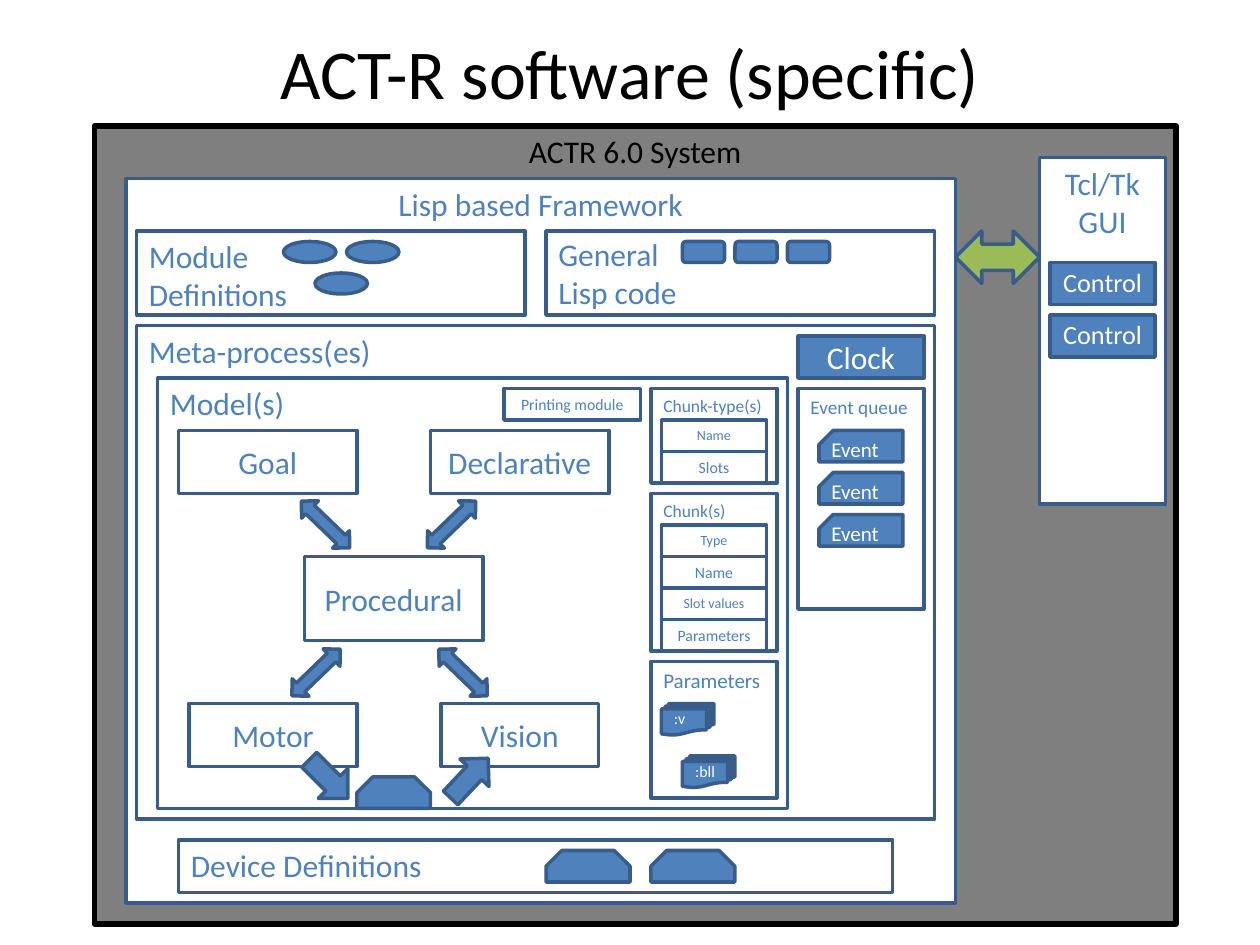
from pptx import Presentation
from pptx.dml.color import RGBColor
from pptx.enum.shapes import MSO_SHAPE
from pptx.enum.text import MSO_ANCHOR, PP_ALIGN
from pptx.util import Cm, Pt

RECT, OVAL, ROUNDED = MSO_SHAPE.RECTANGLE, MSO_SHAPE.OVAL, MSO_SHAPE.ROUNDED_RECTANGLE
TWO_WAY, DOWN = MSO_SHAPE.LEFT_RIGHT_ARROW, MSO_SHAPE.DOWN_ARROW
DOCUMENTS = MSO_SHAPE.FLOWCHART_MULTIDOCUMENT
TOP, MIDDLE = MSO_ANCHOR.TOP, MSO_ANCHOR.MIDDLE
LEFT, CENTER = PP_ALIGN.LEFT, PP_ALIGN.CENTER

COLORS = {
    "black": "000000", "white": "FFFFFF", "gray": "7F7F7F",
    "blue": "4F81BD", "outline": "385D8A", "green": "9BBB59",
}
TITLE_ONLY = 5


def grid(twelfths):
    """Length of a number of grid steps, twelve to the inch."""
    return Cm(twelfths * 2.54 / 12)


class Diagram:
    font = "Calibri"
    line_width = 2

    def __init__(self, slide):
        self.slide = slide

    def color(self, name):
        return RGBColor.from_string(COLORS[name])

    def paint(self, shape, fill, line="outline", width=line_width):
        shape.shadow.inherit = False
        if fill:
            shape.fill.solid()
            shape.fill.fore_color.rgb = self.color(fill)
        else:
            shape.fill.background()
        shape.line.color.rgb = self.color(line)
        shape.line.width = Pt(width)
        return shape

    def label(self, shape, lines, size, color="blue", align=LEFT, anchor=TOP,
              inset_top=0.13, wrap=True, spacing=None):
        frame = shape.text_frame
        frame.word_wrap = wrap
        frame.vertical_anchor = anchor
        frame.margin_left = frame.margin_right = Cm(0.25)
        frame.margin_top, frame.margin_bottom = Cm(inset_top), Cm(0.13)
        frame.text = lines
        for paragraph in frame.paragraphs:
            paragraph.alignment = align
            if spacing:
                paragraph.line_spacing = spacing
            paragraph.font.name = self.font
            paragraph.font.size = Pt(size)
            paragraph.font.color.rgb = self.color(color)

    def title(self, text, x, y, w, h):
        title = self.slide.shapes.title
        title.left, title.top, title.width, title.height = map(grid, (x, y, w, h))
        self.label(title, text, 40, "black", CENTER, MIDDLE)

    def shape(self, kind, x, y, w, h, fill="blue", rotation=0):
        shape = self.slide.shapes.add_shape(kind, *map(grid, (x, y, w, h)))
        shape.rotation = rotation
        return self.paint(shape, fill)

    def box(self, text, x, y, w, h, size=18, fill=None, **style):
        box = self.shape(RECT, x, y, w, h, fill)
        self.label(box, text, size, **style)
        return box

    def outline(self, points):
        start, *rest = [(grid(x), grid(y)) for x, y in points]
        builder = self.slide.shapes.build_freeform(*start)
        builder.add_line_segments(rest, close=True)
        return self.paint(builder.convert_to_shape(), "blue")

    def device(self, x, y, w, h=3, cut=1.5):
        self.outline([(x + cut, y), (x + w - cut, y), (x + w, y + cut),
                      (x + w, y + h), (x, y + h), (x, y + cut)])

    def event(self, x, y, w=8, h=3, cut=1.35):
        card = self.outline([(x + w, y), (x + cut, y), (x, y + cut),
                             (x, y + h), (x + w, y + h)])
        self.label(card, "Event", 12, "white", wrap=False)


def build(diagram):
    diagram.title("ACT-R software (specific)", 6, 3.6, 108, 6.4)

    # System, framework and GUI
    system = diagram.box("ACTR 6.0 System", 9, 12, 103, 76, fill="gray",
                         color="black", align=CENTER)
    diagram.paint(system, "gray", "black", 3.25)
    diagram.box("Lisp based Framework", 12, 17, 79, 69, fill="white", align=CENTER)
    diagram.box("Tcl/Tk GUI", 99, 15, 12, 33, fill="white", align=CENTER)
    diagram.shape(TWO_WAY, 91, 22, 8, 5, "green")
    for y in (25, 30):
        diagram.box("Control", 100, y, 10, 4, 15, "blue", color="white",
                    align=CENTER, anchor=MIDDLE, spacing=0.9)

    # Framework sections
    diagram.box("Meta-process(es)", 13, 31, 76, 47, fill="white")
    diagram.box("Module\nDefinitions", 13, 22, 37, 8, fill="white")
    for x, y in ((27, 23), (30, 26), (33, 23)):
        diagram.shape(OVAL, x, y, 5, 2)
    diagram.box("General\nLisp code", 52, 22, 37, 8, fill="white", anchor=MIDDLE)
    for x in (65, 70, 75):
        diagram.shape(ROUNDED, x, 23, 4, 2)
    diagram.box("Device Definitions", 17, 80, 68, 5, fill="white")
    for x in (52, 62):
        diagram.device(x, 81, 8)

    # Model and its modules
    diagram.box("Model(s)", 15, 36, 60, 41)
    for name, x, y, w, h, size in (
        ("Printing module", 48, 37, 13, 3, 9),
        ("Procedural", 29, 53, 17, 8, 18),
        ("Goal", 17, 41, 17, 6, 18),
        ("Declarative", 41, 41, 17, 6, 18),
        ("Motor", 18, 67, 16, 6, 18),
        ("Vision", 42, 67, 15, 6, 18),
    ):
        diagram.box(name, x, y, w, h, size, align=CENTER, anchor=MIDDLE)

    # Links between the modules and to the device
    for x, y, angle in ((39.8, 48.8, 316), (26.9, 62.9, 316),
                        (27.8, 48.8, 44), (40.9, 62.9, 44)):
        diagram.shape(TWO_WAY, x, y, 6.4, 2.3, rotation=angle)
    diagram.shape(DOWN, 29.3, 71.6, 4, 5.2, rotation=314.8)
    diagram.shape(DOWN, 42.8, 71.5, 3.8, 5.2, rotation=223.4)
    diagram.device(34, 74, 7)

    # Chunks and chunk types, each with stacked fields
    for heading, y, h, fields in (
        ("Chunk(s)", 47, 15,
         (("Type", 8), ("Name", 9), ("Slot values", 8), ("Parameters", 9))),
        ("Chunk-type(s)", 37, 9, (("Name", 8), ("Slots", 9))),
    ):
        diagram.box(heading, 62, y, 12, h, 10)
        for row, (field, size) in enumerate(fields, start=1):
            diagram.box(field, 63, y + 3 * row, 10, 3, size, align=CENTER)

    # Parameters
    diagram.box("Parameters", 62, 63, 12, 13, 12)
    for name, x, y, align in ((":v", 63, 67, LEFT), (":bll", 65, 72, CENTER)):
        documents = diagram.shape(DOCUMENTS, x, y, 5, 3)
        diagram.label(documents, name, 9, "white", align, inset_top=0)

    # Clock and event queue
    diagram.box("Clock", 76, 32, 12, 4, fill="blue", color="white",
                align=CENTER, anchor=MIDDLE)
    diagram.box("Event queue", 76, 37, 12, 21, 11, "white")
    for y in (41, 45, 49):
        diagram.event(78, y)


def main():
    deck = Presentation()
    deck.slide_width, deck.slide_height = Cm(25.4), Cm(19.05)
    build(Diagram(deck.slides.add_slide(deck.slide_layouts[TITLE_ONLY])))
    deck.save("out.pptx")


if __name__ == "__main__":
    main()
